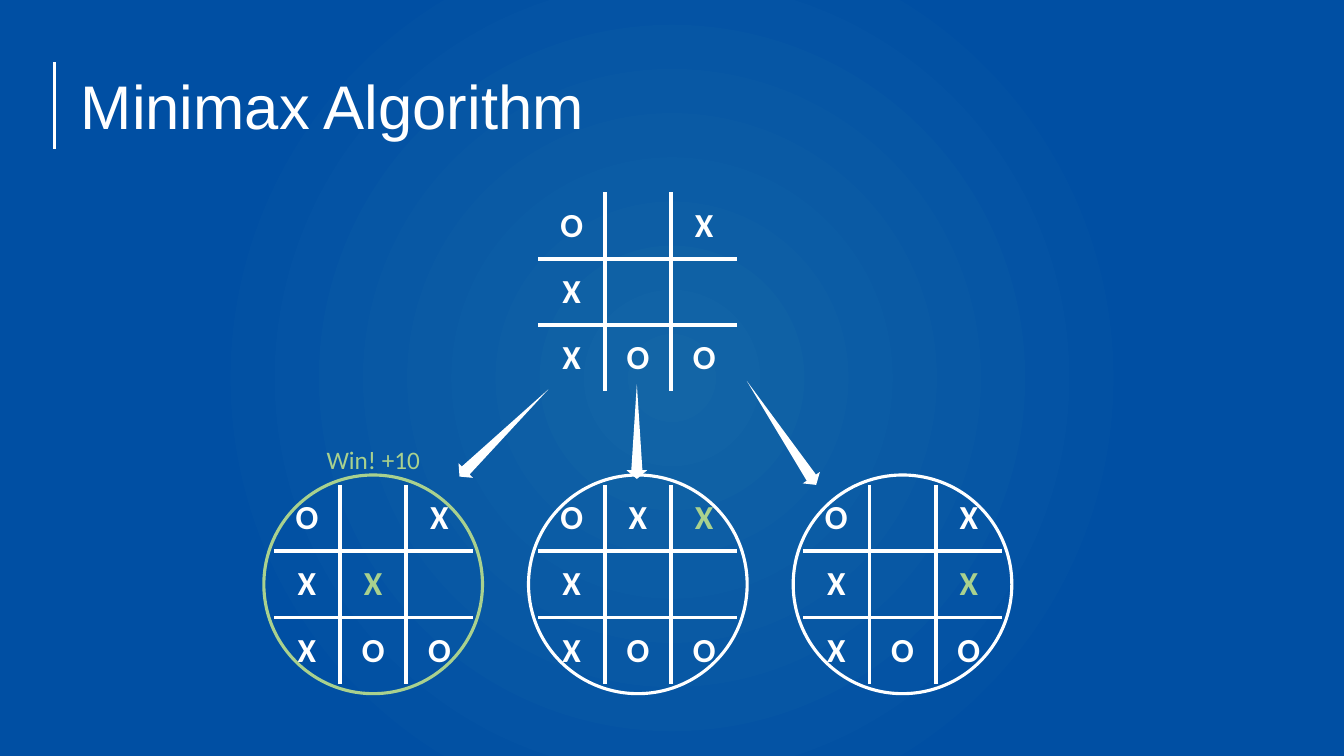
from math import hypot

from lxml import etree
from pptx import Presentation
from pptx.dml.color import RGBColor
from pptx.enum.shapes import MSO_CONNECTOR, MSO_SHAPE
from pptx.enum.text import MSO_ANCHOR, MSO_AUTO_SIZE, PP_ALIGN
from pptx.oxml import parse_xml
from pptx.oxml.ns import qn
from pptx.util import Cm, Pt

STRAIGHT = MSO_CONNECTOR.STRAIGHT
OVAL = MSO_SHAPE.OVAL
MIDDLE = MSO_ANCHOR.MIDDLE
NO_FIT = MSO_AUTO_SIZE.NONE
LEFT, CENTER = PP_ALIGN.LEFT, PP_ALIGN.CENTER
WHITE, GREEN = "FFFFFF", "A9D18E"
GLOW, BLUE = "1365A6", "004FA3"
A_NS = "http://schemas.openxmlformats.org/drawingml/2006/main"
CELL = 1.67
START = ("O X", "X  ", "XOO")


def rgb(hex_color):
    """Turn a hex string into a colour."""
    return RGBColor.from_string(hex_color)


def apply(target, values):
    """Set each attribute named in a dict."""
    for name, value in values.items():
        setattr(target, name, value)


def place(item, left, top, width, height):
    """Move and size an item, in centimetres."""
    apply(item, {"left": Cm(left), "top": Cm(top),
                 "width": Cm(width), "height": Cm(height)})


def play(move):
    """Return the starting rows with an X added at (row, column)."""
    return ["".join("X" if (row, col) == move else mark
                    for col, mark in enumerate(marks))
            for row, marks in enumerate(START)]


class Deck:
    """Holds the style and the current slide."""

    def __init__(self, presentation):
        """Add a title-only slide with a radial background."""
        self.text_font, self.title_font = "Calibri", "Arial"
        self.slide = presentation.slides.add_slide(presentation.slide_layouts[5])
        self.shapes = self.slide.shapes
        self.glow()

    def glow(self):
        """Fill the background from a bright centre outwards."""
        fill = self.slide.background.fill
        fill.gradient()
        for stop, color, position in zip(fill.gradient_stops, (GLOW, BLUE), (0, 0.63)):
            stop.color.rgb = rgb(color)
            stop.position = position
        gradient = self.slide.element.find(".//" + qn("a:gradFill"))
        gradient.remove(gradient.find(qn("a:lin")))
        gradient.append(parse_xml(
            f'<a:path xmlns:a="{A_NS}" path="circle">'
            '<a:fillToRect l="50000" t="50000" r="50000" b="50000"/></a:path>'))

    def add_text(self, paragraph, text, size, color, align=LEFT, bold=False, font=None):
        """Put one formatted run into a paragraph."""
        paragraph.alignment = align
        run = paragraph.add_run()
        run.text = text
        apply(run.font, {"name": font or self.text_font, "size": Pt(size), "bold": bold})
        run.font.color.rgb = rgb(color)

    def title(self, text, *box):
        """Fill and move the title placeholder."""
        heading = self.shapes.title
        place(heading, *box)
        frame = heading.text_frame
        apply(frame, {"vertical_anchor": MIDDLE, "auto_size": NO_FIT, "word_wrap": True})
        frame.paragraphs[0].line_spacing = 0.9
        self.add_text(frame.paragraphs[0], text, 44, WHITE, font=self.title_font)

    def label(self, text, color, *box):
        """Add a short line of text."""
        frame = self.shapes.add_textbox(*map(Cm, box)).text_frame
        frame.word_wrap = True
        self.add_text(frame.paragraphs[0], text, 18, color)

    def rule(self, x, top, bottom):
        """Add a vertical line."""
        line = self.shapes.add_connector(STRAIGHT, Cm(x), Cm(top), Cm(x), Cm(bottom))
        line.line.color.rgb = rgb(WHITE)
        line.line.width = Pt(2)
        etree.SubElement(line.element.spPr, qn("a:effectLst"))

    def ring(self, color, left, top, size):
        """Add an unfilled circle."""
        circle = self.shapes.add_shape(OVAL, Cm(left), Cm(top), Cm(size), Cm(size))
        circle.shadow.inherit = False
        circle.fill.background()
        circle.line.color.rgb = rgb(color)
        circle.line.width = Pt(2.25)

    def arrow(self, tail, tip):
        """Add an arrow that widens from a pointed tail to its head."""
        (x0, y0), (x1, y1) = tail, tip
        length = hypot(x1 - x0, y1 - y0)
        ux, uy = (x1 - x0) / length, (y1 - y0) / length

        def point(along, across):
            """Locate a point by its distance along and across the arrow."""
            return Cm(x0 + along * ux - across * uy), Cm(y0 + along * uy + across * ux)

        neck = length - 0.22
        builder = self.shapes.build_freeform(*point(0, 0))
        builder.add_line_segments(
            [point(neck, 0.14), point(neck, 0.26), point(length, 0),
             point(neck, -0.26), point(neck, -0.14)])
        outline = builder.convert_to_shape()
        outline.shadow.inherit = False
        outline.fill.solid()
        outline.fill.fore_color.rgb = rgb(WHITE)
        outline.line.fill.background()

    def borders(self, cell, row, col):
        """Draw only the borders that lie inside the board."""
        inside = {"L": col > 0, "R": col < 2, "T": row > 0, "B": row < 2}
        properties = cell._tc.get_or_add_tcPr()
        for index, (side, drawn) in enumerate(inside.items()):
            paint = (f'<a:solidFill><a:srgbClr val="{WHITE}"/></a:solidFill>'
                     if drawn else "<a:noFill/>")
            properties.insert(index, parse_xml(
                f'<a:ln{side} xmlns:a="{A_NS}" w="{Pt(3)}">{paint}</a:ln{side}>'))

    def board(self, rows, left, top, new_mark=None):
        """Add a tic-tac-toe board, with one mark in green."""
        side = Cm(3 * CELL)
        grid = self.shapes.add_table(3, 3, Cm(left), Cm(top), side, side).table
        apply(grid, {"first_row": False, "horz_banding": False})
        for line in grid.columns:
            line.width = Cm(CELL)
        for line in grid.rows:
            line.height = Cm(CELL)
        for row, marks in enumerate(rows):
            for col, mark in enumerate(marks):
                cell = grid.cell(row, col)
                cell.fill.background()
                cell.vertical_anchor = MIDDLE
                self.borders(cell, row, col)
                if mark != " ":
                    color = GREEN if (row, col) == new_mark else WHITE
                    self.add_text(cell.text_frame.paragraphs[0], mark, 24, color, CENTER, True)


def main():
    """Build the slide and save it."""
    presentation = Presentation()
    apply(presentation, {"slide_width": Cm(33.87), "slide_height": Cm(19.05)})
    deck = Deck(presentation)
    deck.title("Minimax Algorithm", 1.78, 0.91, 23.93, 3.68)
    deck.rule(1.37, 1.57, 3.76)

    first_left, step, top = 6.9, 6.67, 12.22
    lefts = [first_left + step * index for index in range(3)]
    deck.board(START, lefts[1], 4.85)
    # Each outcome: the added X, the green mark and the ring colour
    outcomes = [((1, 1), (1, 1), GREEN), ((0, 1), (0, 2), WHITE), ((1, 2), (1, 2), WHITE)]
    for left, (move, new_mark, _) in zip(lefts, outcomes):
        deck.board(play(move), left, top, new_mark)

    for tail, tip in [((13.82, 9.81), (11.58, 12.01)),
                      ((16.05, 9.68), (16.05, 12.07)),
                      ((18.82, 9.6), (20.57, 12.22))]:
        deck.arrow(tail, tip)
    deck.label("Win! +10", GREEN, 7.98, 11.07, 3.45, 1.02)
    for left, (_, _, color) in zip(lefts, outcomes):
        deck.ring(color, left - 0.25, top - 0.25, 3 * CELL + 0.5)
    presentation.save("out.pptx")


main()
